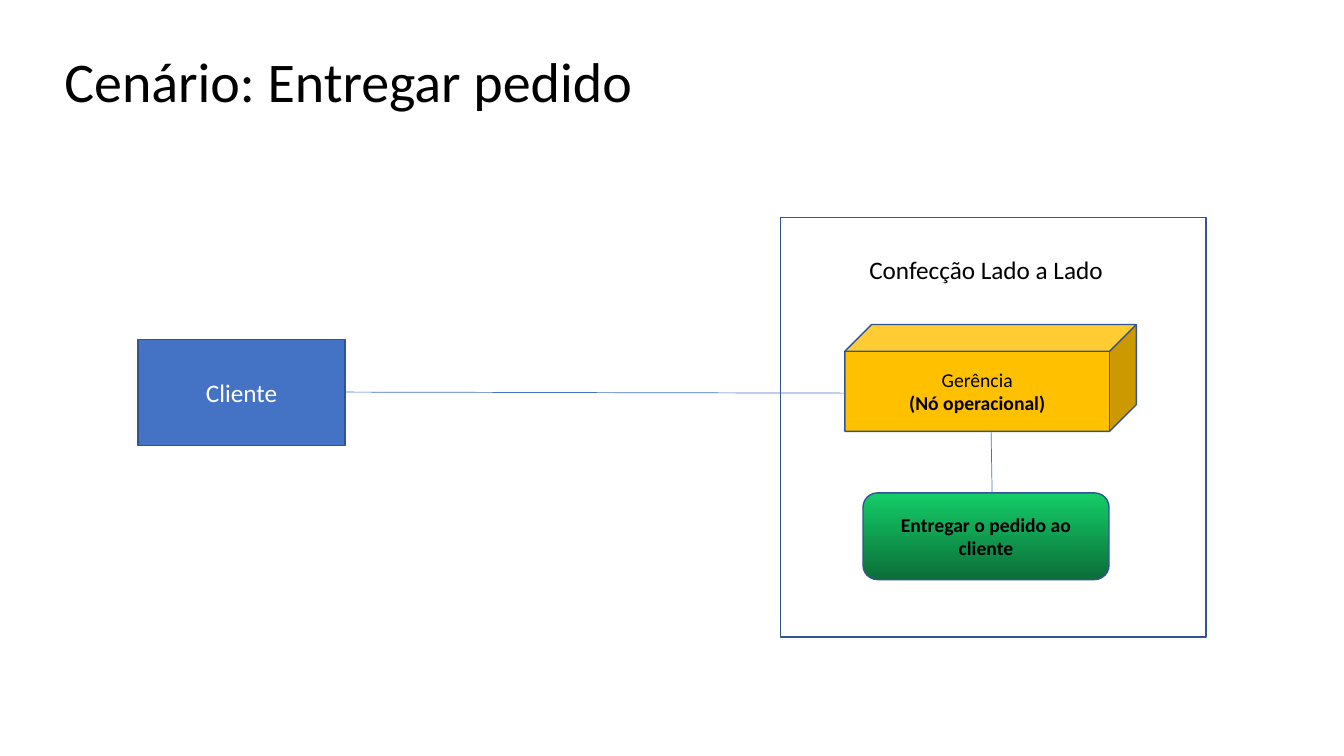
from pptx import Presentation
from pptx.dml.color import RGBColor
from pptx.enum.shapes import MSO_CONNECTOR as LINE, MSO_SHAPE as SHAPE
from pptx.enum.text import MSO_ANCHOR as ANCHOR, PP_ALIGN as ALIGN
from pptx.oxml.ns import qn
from pptx.util import Inches, Pt
from lxml import etree

BLUE, EDGE, GOLD, BLACK = "4472C4", "325491", "FFC000", "000000"


def paint(color, code):
    color.rgb = RGBColor.from_string(code)


def write(shape, text, size, code=BLACK, align=ALIGN.CENTER):
    frame = shape.text_frame
    frame.word_wrap = True
    frame.vertical_anchor = ANCHOR.MIDDLE
    frame.text = text
    for para in frame.paragraphs:
        para.alignment = align
        for run in para.runs:
            run.font.name = "Calibri"
            run.font.size = Pt(size)
            paint(run.font.color, code)
    return frame.paragraphs


deck = Presentation()
deck.slide_width, deck.slide_height = Inches(13.33), Inches(7.5)
slide = deck.slides.add_slide(deck.slide_layouts[6])
shapes = slide.shapes

# Boxes: client, manager node, task and company frame
boxes = []
for kind, *place in [
    (SHAPE.FLOWCHART_PROCESS, 1.37, 3.37, 2.05, 1.05),
    (SHAPE.CUBE, 8.38, 3.22, 2.89, 1.06),
    (SHAPE.FLOWCHART_ALTERNATE_PROCESS, 8.56, 4.89, 2.44, 0.86),
    (SHAPE.RECTANGLE, 7.74, 2.16, 4.22, 4.16),
]:
    box = shapes.add_shape(kind, *map(Inches, place))
    box.shadow.inherit = False
    paint(box.line.fill.fore_color if box.line.fill.type else box.line.color, EDGE)
    box.line.width = Pt(1)
    boxes.append(box)
client, node, task, frame = boxes

# Fills
for box, code in [(client, BLUE), (node, GOLD)]:
    box.fill.solid()
    paint(box.fill.fore_color, code)
frame.fill.background()
task.fill.gradient()
task.fill.gradient_angle = 270
for stop, place, code in zip(task.fill.gradient_stops, (0, 1), ("14CD68", "0B6E38")):
    stop.position = place
    paint(stop.color, code)

# Text in the boxes
lines = write(node, "Gerência\n(Nó operacional)", 14)
lines[1].runs[0].font.bold = True
lines = write(task, "Entregar o pedido ao cliente", 14)
lines[0].runs[0].font.bold = True

# Links from client to node and from node to task
for ends in [(3.42, 3.89, 8.39, 3.9), (9.83, 4.28, 9.84, 4.89)]:
    link = shapes.add_connector(LINE.STRAIGHT, *map(Inches, ends))
    paint(link.line.color, BLUE)
    link.line.width = Pt(0.5)
    etree.SubElement(link._element.spPr, qn("a:effectLst"))

# Labels and title
for text, size, code, align, *place in [
    ("Cliente", 18, "FFFFFF", ALIGN.CENTER, 1.74, 3.69, 1.31, 0.4),
    ("Confecção Lado a Lado", 18, BLACK, ALIGN.CENTER, 7.91, 2.47, 3.74, 0.4),
    ("Cenário: Entregar pedido", 40, BLACK, ALIGN.LEFT, 0.54, 0.43, 8.98, 0.82),
]:
    label = shapes.add_textbox(*map(Inches, place))
    lines = write(label, text, size, code, align)
lines[0].line_spacing = 0.9

deck.save("out.pptx")
